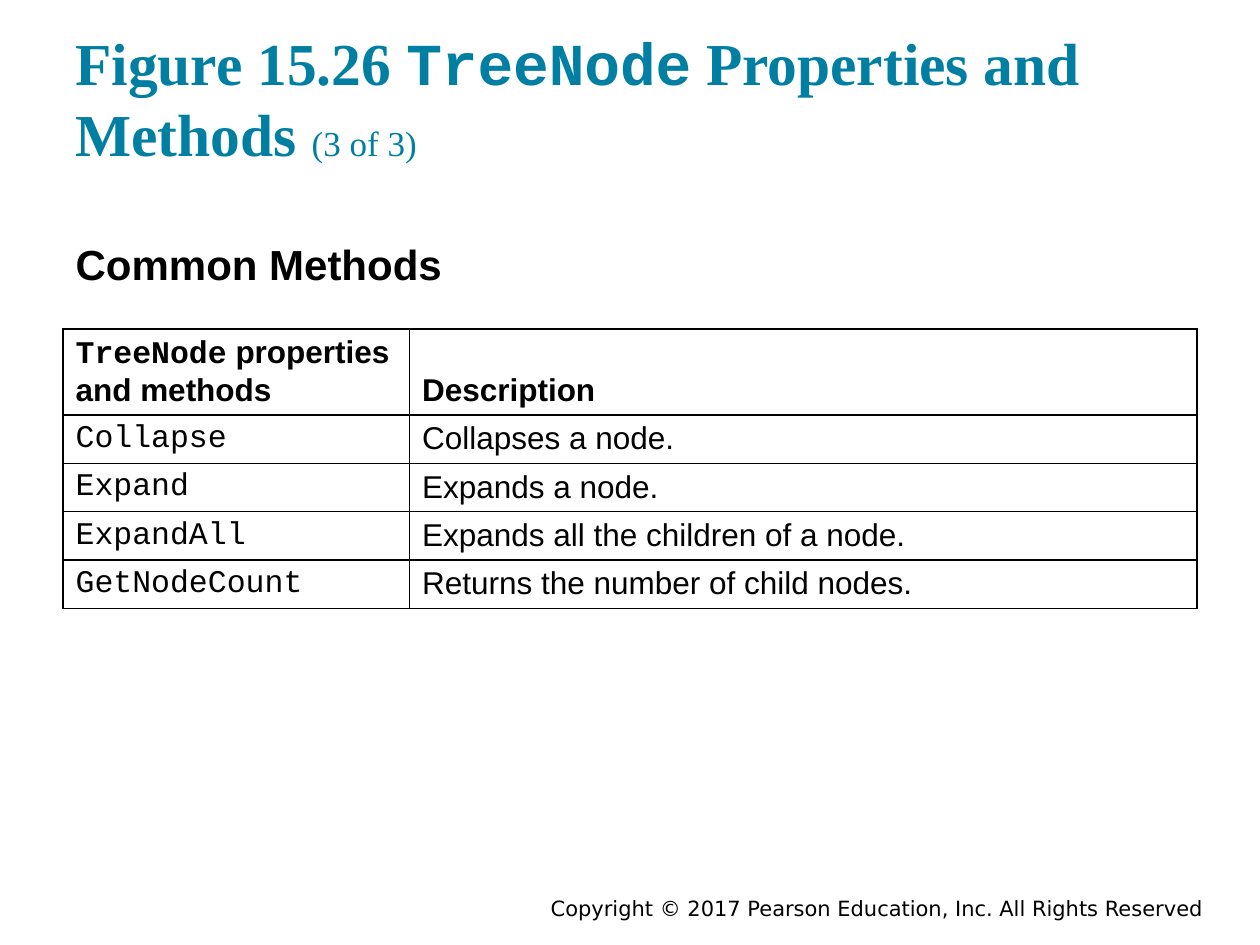
from lxml.etree import SubElement
from pptx import Presentation
from pptx.dml.color import RGBColor
from pptx.enum.text import MSO_ANCHOR as Anchor, MSO_AUTO_SIZE as AutoSize, PP_ALIGN as Align
from pptx.oxml.ns import qn
from pptx.util import Pt

TEAL = RGBColor(0x00, 0x7F, 0xA3)
BLACK = RGBColor(0x00, 0x00, 0x00)
WHITE = RGBColor(0xFF, 0xFF, 0xFF)
SANS, SERIF, MONO = "Arial", "Times New Roman", "Courier New"


def add_run(paragraph, text, font=SANS, size=18, color=BLACK, bold=False):
    """Append a formatted run to a paragraph."""
    run = paragraph.add_run()
    run.text = text
    run.font.name, run.font.size, run.font.bold = font, Pt(size), bold
    run.font.color.rgb = color


class SlideBuilder:
    """Hold the deck, the current slide and its shared style."""

    def __init__(self):
        """Start a deck with one title and content slide."""
        self.deck = Presentation()
        self.deck.slide_width, self.deck.slide_height = Pt(720), Pt(540)
        self.slide = self.deck.slides.add_slide(self.deck.slide_layouts[1])
        self.left, self.width, self.inset = 36, 648, 7.2

    def fill_placeholder(self, holder, top, height, anchor, runs):
        """Move a placeholder and write its single paragraph."""
        holder.left, holder.top = Pt(self.left), Pt(top)
        holder.width, holder.height = Pt(self.width), Pt(height)
        frame = holder.text_frame
        frame.auto_size, frame.word_wrap = AutoSize.NONE, True
        frame.vertical_anchor = anchor
        frame.margin_left = frame.margin_right = Pt(self.inset)
        frame.margin_top = frame.margin_bottom = Pt(self.inset)
        paragraph = frame.paragraphs[0]
        paragraph.alignment, paragraph.space_before = Align.LEFT, Pt(0)
        properties = paragraph._p.get_or_add_pPr()
        properties.set("marL", "0")
        properties.set("indent", "0")
        SubElement(properties, qn("a:buNone"))
        for text, style in runs:
            add_run(paragraph, text, **style)
        return frame

    def add_title(self, runs):
        """Write the slide title."""
        self.fill_placeholder(self.slide.shapes.title, 17.28, 86.4, Anchor.BOTTOM, runs)

    def add_heading(self, text):
        """Write the heading above the table."""
        frame = self.fill_placeholder(self.slide.placeholders[1], 126, 39.6, Anchor.TOP,
                                      [(text, dict(size=24, bold=True))])
        frame.margin_top = Pt(10)

    def add_footer(self, text):
        """Write the right-aligned copyright line."""
        footer = self.slide.shapes.add_textbox(Pt(216), Pt(509.76), Pt(478.8), Pt(18))
        frame = footer.text_frame
        frame.word_wrap, frame.vertical_anchor = True, Anchor.MIDDLE
        frame.paragraphs[0].alignment = Align.RIGHT
        add_run(frame.paragraphs[0], text, font="DejaVu Sans", size=12)

    def style_cell(self, cell):
        """Give a cell black borders and a white fill."""
        properties = cell._tc.get_or_add_tcPr()
        for side in ("lnL", "lnR", "lnT", "lnB"):
            border = SubElement(properties, qn(f"a:{side}"), w=str(Pt(1)))
            paint = SubElement(border, qn("a:solidFill"))
            SubElement(paint, qn("a:srgbClr"), val=str(BLACK))
        cell.fill.solid()
        cell.fill.fore_color.rgb = WHITE

    def add_method_table(self, header, methods):
        """Draw the header row and one row for each method."""
        row_height, header_height = 27.6, 49.2
        rows = [header] + [([[(name, dict(font=MONO))]], [[(description, {})]])
                           for name, description in methods]
        table = self.slide.shapes.add_table(
            len(rows), 2, Pt(self.left), Pt(187.92), Pt(self.width),
            Pt(header_height + row_height * len(methods))).table
        table.first_row = table.horz_banding = False
        for column, width in zip(table.columns, (198, 450)):
            column.width = Pt(width)
        for index, row in enumerate(rows):
            table.rows[index].height = Pt(row_height if index else header_height)
            for cell, lines in zip(table.rows[index].cells, row):
                self.style_cell(cell)
                cell.vertical_anchor = Anchor.TOP if index else Anchor.BOTTOM
                frame = cell.text_frame
                for number, line in enumerate(lines):
                    paragraph = frame.add_paragraph() if number else frame.paragraphs[0]
                    for text, style in line:
                        add_run(paragraph, text, **style)


def main():
    """Build and save the slide."""
    builder = SlideBuilder()
    heading = dict(font=SERIF, size=34, color=TEAL, bold=True)
    builder.add_title([
        ("Figure 15.26 ", heading),
        ("TreeNode", {**heading, "font": MONO}),
        (" Properties and Methods ", heading),
        ("(3 of 3)", {**heading, "size": 20, "bold": False}),
    ])
    builder.add_heading("Common Methods")
    strong = dict(bold=True)
    builder.add_method_table(
        ([[("TreeNode", dict(font=MONO, bold=True)), (" properties", strong)],
          [("and methods", strong)]],
         [[("Description", strong)]]),
        [("Collapse", "Collapses a node."),
         ("Expand", "Expands a node."),
         ("ExpandAll", "Expands all the children of a node."),
         ("GetNodeCount", "Returns the number of child nodes.")])
    builder.add_footer("Copyright © 2017 Pearson Education, Inc. All Rights Reserved")
    builder.deck.save("out.pptx")


if __name__ == "__main__":
    main()
